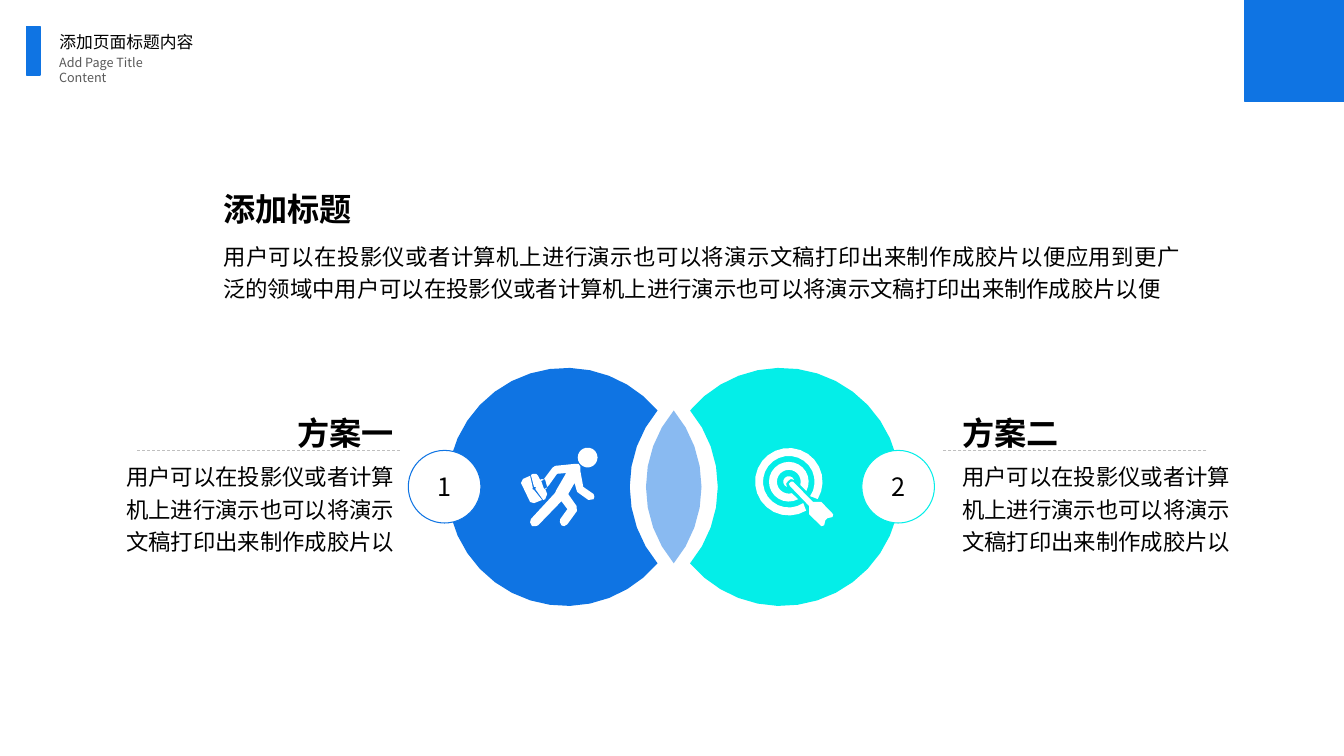
import math

from lxml import etree
from pptx import Presentation
from pptx import util as u
from pptx.dml.color import RGBColor
from pptx.enum import dml, shapes, text
from pptx.oxml import ns

FONT = "Noto Sans CJK SC"
COLORS = {
    "blue": "0F74E3",
    "cyan": "04EEE8",
    "white": "FFFFFF",
    "black": "000000",
    "gray": "595959",
    "divider": "BFBFBF",
}
ALIGN = text.PP_ALIGN
VENN_X, VENN_Y, VENN_RADIUS = 16.98, 12.27, 3
OUTER_OFFSET, LENS_OFFSET, BITE_OFFSET = 2.71, 2.3, 1.89

RUNNER_BODY = [
    (13.5, 4.1), (14.5, 4.1), (15, 4.8), (15, 6.1), (15.7, 9.9), (18.3, 11.7),
    (18.5, 12.4), (18.3, 13), (17, 13.2), (14.2, 11.2), (14, 10.7), (13.5, 8.9),
    (11.9, 11.7), (14, 14.7), (14.1, 16), (11.7, 19.3), (10.9, 19.8),
    (10.2, 19.6), (9.8, 18.8), (9.9, 18), (11.7, 15.5), (10.2, 13.5),
    (4.3, 19.6), (3.6, 19.8), (2.8, 19.8), (2.3, 18.8), (2.5, 18), (8.6, 11.4),
    (8.9, 10.7), (11.4, 6.4), (9.1, 6.6), (7.1, 9.4), (6.6, 9.9), (6.1, 8.1),
    (5.8, 7.9), (7.9, 5.1), (8.6, 4.6),
]
CASE_BACK = [
    (2.3, 7.1), (3, 10.2), (2.8, 10.4), (3.3, 10.7), (5.3, 13.2), (3.3, 14),
    (2.3, 13.7), (0, 8.9), (0.5, 7.9),
]
CASE_FRONT = [
    (3.8, 6.6), (4.3, 7.1), (4.8, 8.1), (5.3, 7.9), (5.8, 8.1), (5.1, 8.4),
    (5.8, 10.4), (6.4, 10.2), (6.6, 9.9), (6.4, 10.4), (6.1, 10.4), (6.6, 11.7),
    (6.1, 13), (5.6, 13.2), (3.6, 10.4), (3.8, 9.9), (3.3, 9.9), (2.5, 6.9),
    (3, 6.6),
]
ARROW = [
    (9.1, 8.6), (9.7, 8.6), (14.7, 13.7), (16.8, 13.7), (19.8, 16.8),
    (19.6, 17.5), (18.3, 17.8), (17.8, 18.3), (17.5, 19.6), (16.8, 19.8),
    (13.7, 16.8), (13.7, 14.7), (8.9, 9.7), (8.6, 9.1),
]


def rgb(name):
    return RGBColor.from_string(COLORS[name])


def arc(x, y, radius, start, end, step=10):
    count = math.ceil(abs(end - start) / step)
    angles = [math.radians(start + (end - start) * i / count) for i in range(count + 1)]
    return [(x + radius * math.cos(a), y + radius * math.sin(a)) for a in angles]


def ring(x, y, outer, inner):
    return arc(x, y, *outer, step=15) + arc(x, y, inner[0], inner[2], inner[1], step=15)


def add_outline(slide, contours, color, unit, left=0, top=0):
    contours = [[(x * unit, y * unit) for x, y in points] for points in contours]
    builder = slide.shapes.build_freeform(*contours[0][0])
    for index, points in enumerate(contours):
        if index:
            builder.move_to(*points[0])
        builder.add_line_segments(points[1:], close=True)
    shape = builder.convert_to_shape(u.Cm(left), u.Cm(top))
    shape.shadow.inherit = False
    shape.fill.solid()
    shape.fill.fore_color.rgb = rgb(color)
    shape.line.fill.background()
    return shape


def write(shape, content, size, color="black", bold=False, align=ALIGN.LEFT, spacing=1.0):
    shape.text_frame.text = content
    paragraph = shape.text_frame.paragraphs[0]
    paragraph.alignment = align
    paragraph.line_spacing = spacing
    paragraph.space_before = u.Pt(0)
    font = paragraph.runs[0].font
    font.size = u.Pt(size)
    font.bold = bold
    font.name = FONT
    font.color.rgb = rgb(color)
    properties = paragraph.runs[0]._r.get_or_add_rPr()
    etree.SubElement(properties, ns.qn("a:ea"), typeface=FONT)


def add_text(slide, left, top, width, height, content, size, **style):
    box = slide.shapes.add_textbox(u.Cm(left), u.Cm(top), u.Cm(width), u.Cm(height))
    box.text_frame.word_wrap = True
    box.text_frame.auto_size = text.MSO_AUTO_SIZE.SHAPE_TO_FIT_TEXT
    write(box, content, size, **style)


def add_shape(slide, kind, left, top, width, height, fill, line, weight):
    shape = slide.shapes.add_shape(kind, u.Cm(left), u.Cm(top), u.Cm(width), u.Cm(height))
    shape.shadow.inherit = False
    shape.fill.solid()
    shape.fill.fore_color.rgb = rgb(fill)
    shape.line.color.rgb = rgb(line)
    shape.line.width = u.Pt(weight)
    return shape


def add_divider(slide, left):
    top = u.Cm(11.35)
    line = slide.shapes.add_connector(
        shapes.MSO_CONNECTOR.STRAIGHT, u.Cm(left + 6.63), top, u.Cm(left), top)
    line.line.color.rgb = rgb("divider")
    line.line.width = u.Pt(0.5)
    line.line.dash_style = dml.MSO_LINE.DASH
    etree.SubElement(line._element.spPr, ns.qn("a:effectLst"))


def add_badge(slide, left, number, color):
    badge = add_shape(slide, shapes.MSO_SHAPE.OVAL, left, 11.35, 1.83, 1.83, "white", color, 0.75)
    badge.text_frame.vertical_anchor = text.MSO_ANCHOR.MIDDLE
    write(badge, number, 18, align=ALIGN.CENTER)


def add_header(slide):
    title = slide.shapes.title
    title.left, title.top, title.width, title.height = map(u.Cm, (1.24, 0.67, 3.94, 0.76))
    title.text_frame.word_wrap = False
    title.text_frame.auto_size = text.MSO_AUTO_SIZE.SHAPE_TO_FIT_TEXT
    title.text_frame.vertical_anchor = text.MSO_ANCHOR.TOP
    write(title, "添加页面标题内容", 12)
    add_text(slide, 1.24, 1.26, 3.84, 0.64, "Add Page Title Content", 9, color="gray")
    for place in ((0.67, 0.67, 0.34, 1.22), (31.36, 0.01, 2.54, 2.54)):
        add_shape(slide, shapes.MSO_SHAPE.RECTANGLE, *place, "blue", "blue", 1)


def add_venn(slide):
    half = math.degrees(math.acos(LENS_OFFSET / VENN_RADIUS))
    lens = (arc(VENN_X - LENS_OFFSET, VENN_Y, VENN_RADIUS, -half, half)
            + arc(VENN_X + LENS_OFFSET, VENN_Y, VENN_RADIUS, 180 - half, 180 + half))
    overlap = add_outline(slide, [lens], "blue", u.Cm(1))
    color = overlap._element.spPr.find(".//" + ns.qn("a:srgbClr"))
    etree.SubElement(color, ns.qn("a:alpha"), val="49000")
    crescent = (arc(-OUTER_OFFSET, 0, VENN_RADIUS, half, 360 - half)
                + arc(BITE_OFFSET, 0, VENN_RADIUS, 180 + half, 180 - half))
    for side, fill in ((1, "blue"), (-1, "cyan")):
        points = [(VENN_X + side * x, VENN_Y + y) for x, y in crescent]
        add_outline(slide, [points], fill, u.Cm(1))


def add_icons(slide):
    head = arc(16.8, 2.5, 2.5, 0, 360, step=20)
    add_outline(slide, [RUNNER_BODY, CASE_BACK, CASE_FRONT, head], "white",
                u.Cm(0.1), 13.13, 11.28)
    bullseye = arc(8.6, 8.6, 1.4, 110, 340, step=30) + [(9.1, 7.9), (8.4, 8.4), (7.9, 9.1)]
    rings = [
        ring(8.6, 8.6, (8.5, 59, 391), (6.5, 56, 394)),
        ring(8.6, 8.6, (5, 62, 388), (3, 75, 375)),
    ]
    add_outline(slide, [ARROW, bullseye, *rings], "white", u.Cm(0.1), 19.02, 11.28)


def add_plan(slide, heading, heading_left, body_left, heading_align, body_align):
    body = "用户可以在投影仪或者计算机上进行演示也可以将演示文稿打印出来制作成胶片以"
    add_text(slide, body_left, 11.42, 7.37, 2.64, body, 16, align=body_align, spacing=1.2)
    add_text(slide, heading_left, 10.09, 6.22, 1.35, heading, 23, bold=True,
             align=heading_align, spacing=1.2)


def main():
    presentation = Presentation()
    presentation.slide_width, presentation.slide_height = u.Cm(33.87), u.Cm(19.05)
    slide = presentation.slides.add_slide(presentation.slide_layouts[5])
    add_header(slide)
    add_text(slide, 5.38, 4.45, 6.22, 1.35, "添加标题", 23, bold=True,
             align=ALIGN.JUSTIFY, spacing=1.2)
    add_text(slide, 5.38, 5.87, 24.63, 1.83,
             "用户可以在投影仪或者计算机上进行演示也可以将演示文稿打印出来制作成胶片以便应用到更广"
             "泛的领域中用户可以在投影仪或者计算机上进行演示也可以将演示文稿打印出来制作成胶片以便",
             16, align=ALIGN.JUSTIFY, spacing=1.2)
    add_venn(slide)
    add_divider(slide, 3.45)
    add_divider(slide, 23.77)
    add_badge(slide, 10.29, "1", "blue")
    add_badge(slide, 21.72, "2", "cyan")
    add_plan(slide, "方案一", 3.96, 2.82, ALIGN.RIGHT, ALIGN.RIGHT)
    add_plan(slide, "方案二", 24, 24, ALIGN.JUSTIFY, ALIGN.LEFT)
    add_icons(slide)
    presentation.save("out.pptx")


if __name__ == "__main__":
    main()
